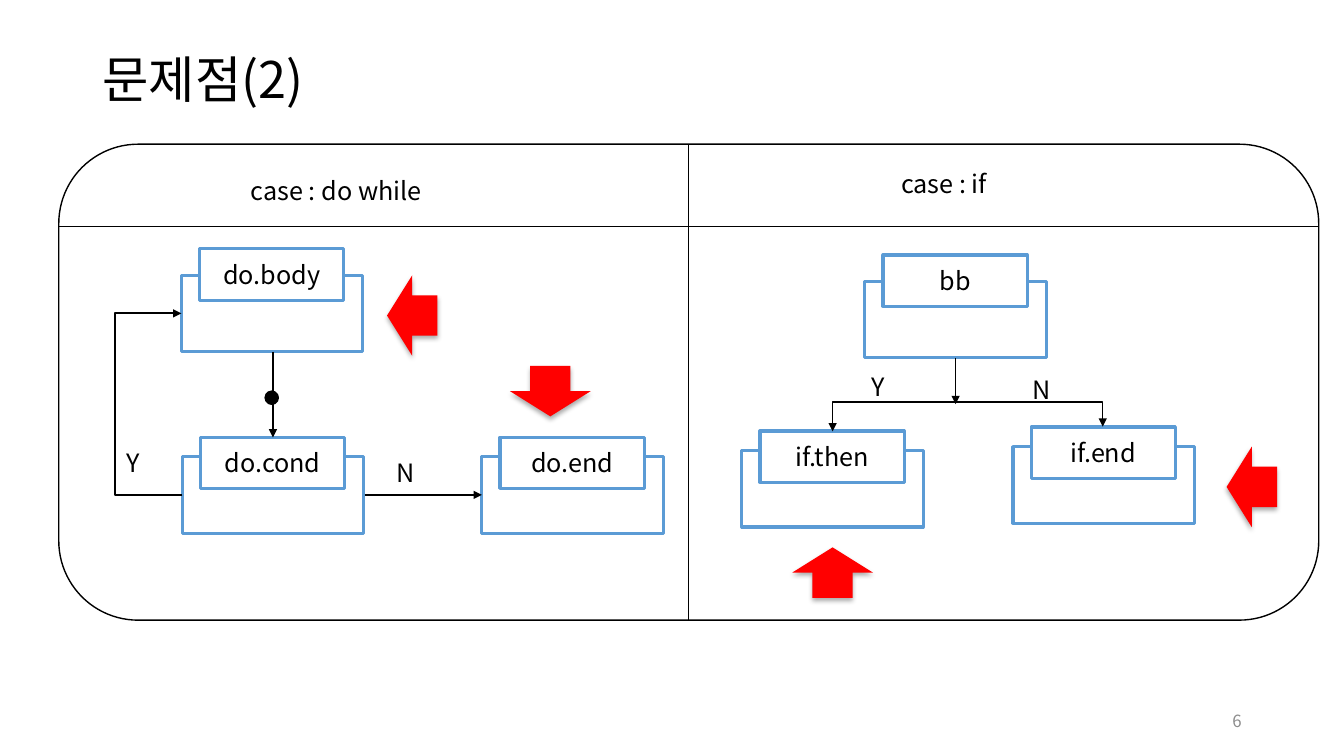
from lxml import etree
from pptx import Presentation
from pptx.dml.color import RGBColor
from pptx.enum import shapes, text
from pptx.oxml import parse_xml
from pptx.oxml.ns import nsdecls, qn
from pptx.util import Pt

FONT = "Noto Sans CJK KR"
COLORS = {"ink": "000000", "paper": "FFFFFF", "block": "5B9BD5",
          "marker": "FF0000", "number": "8C8C8C"}
SHAPE = shapes.MSO_SHAPE
LINE = shapes.MSO_CONNECTOR
ALIGN = text.PP_ALIGN
ANCHOR = text.MSO_ANCHOR

BLOCK_W, BLOCK_H = 129.6, 54.7
LABEL_W, LABEL_H, LABEL_INDENT = 103, 36.7, 13
MARKER_W, MARKER_H = 36, 57.6
FRAME_X, FRAME_Y, FRAME_W, FRAME_H = 42, 103, 900, 340
HEADER_Y = 162


def rgb(color):
    return RGBColor.from_string(COLORS[color])


def write(frame, words, size=18, color="ink", align=ALIGN.LEFT,
          anchor=ANCHOR.TOP, spacing=None):
    frame.word_wrap = True
    frame.vertical_anchor = anchor
    paragraph = frame.paragraphs[0]
    paragraph.alignment = align
    paragraph.line_spacing = spacing
    run = paragraph.add_run()
    run.text = words
    run.font.size = Pt(size)
    run.font.name = FONT
    run.font.color.rgb = rgb(color)
    east_asian = etree.SubElement(run.font._element, qn("a:ea"))
    east_asian.set("typeface", FONT)


def add_text(slide, words, x, y, w, h=29, **style):
    box = slide.shapes.add_textbox(Pt(x), Pt(y), Pt(w), Pt(h))
    write(box.text_frame, words, **style)


def add_figure(slide, kind, x, y, w, h, fill=None, line=None, weight=1):
    figure = slide.shapes.add_shape(kind, Pt(x), Pt(y), Pt(w), Pt(h))
    figure.shadow.inherit = False
    if fill:
        figure.fill.solid()
        figure.fill.fore_color.rgb = rgb(fill)
    else:
        figure.fill.background()
    if line:
        figure.line.color.rgb = rgb(line)
        figure.line.width = Pt(weight)
    else:
        figure.line.fill.background()
    return figure


def add_block(slide, name, x, y, rise=14):
    """Basic block whose name tag stands out above its top edge by rise."""
    outline = {"line": "block", "weight": 2.25}
    add_figure(slide, SHAPE.RECTANGLE, x, y, BLOCK_W, BLOCK_H, **outline)
    tag = add_figure(slide, SHAPE.RECTANGLE, x + LABEL_INDENT, y - rise,
                     LABEL_W, LABEL_H, fill="paper", **outline)
    write(tag.text_frame, name, align=ALIGN.CENTER, anchor=ANCHOR.MIDDLE)


def add_marker(slide, x, y, rotation=0):
    """Red arrow that points at a problem block."""
    marker = add_figure(slide, SHAPE.LEFT_ARROW, x, y, MARKER_W, MARKER_H,
                        fill="marker")
    marker.rotation = rotation
    effects = marker._element.spPr.find(qn("a:effectLst"))
    effects.append(parse_xml(
        f'<a:outerShdw {nsdecls("a")} blurRad="{Pt(3.5)}" dist="{Pt(2.2)}" '
        f'dir="5400000" rotWithShape="0"><a:srgbClr val="{COLORS["ink"]}">'
        '<a:alpha val="32000"/></a:srgbClr></a:outerShdw>'))


def add_line(slide, x1, y1, x2, y2, weight=1, kind=LINE.STRAIGHT, arrows=()):
    """Line with a triangle at each end named in arrows (headEnd, tailEnd)."""
    line = slide.shapes.add_connector(kind, Pt(x1), Pt(y1), Pt(x2), Pt(y2))
    line.line.color.rgb = rgb("ink")
    line.line.width = Pt(weight)
    for end in arrows:
        etree.SubElement(line.line._ln, qn(f"a:{end}")).set("type", "triangle")
    etree.SubElement(line._element.spPr, qn("a:effectLst"))
    return line


def add_bent_line(slide, x1, y1, x2, y2, bend, upright=False, **style):
    """Elbow line that leaves its start by bend, leftwards or upwards."""
    reach = x1 - x2
    if upright:
        center_x, center_y = (x1 + x2) / 2, (y1 + y2) / 2
        reach, span = y1 - y2, x2 - x1
        x1, x2 = center_x + reach / 2, center_x - reach / 2
        y1, y2 = center_y + span / 2, center_y - span / 2
    line = add_line(slide, x1, y1, x2, y2, kind=LINE.ELBOW, **style)
    if upright:
        line._element.spPr.find(qn("a:xfrm")).set("rot", "5400000")
    guides = line._element.spPr.find(qn("a:prstGeom")).get_or_add_avLst()
    guide = etree.SubElement(guides, qn("a:gd"))
    guide.set("name", "adj1")
    guide.set("fmla", f"val {round(bend / reach * 100000)}")


def add_frame(slide):
    add_figure(slide, SHAPE.ROUNDED_RECTANGLE, FRAME_X, FRAME_Y, FRAME_W,
               FRAME_H, fill="paper", line="ink")
    middle = FRAME_X + FRAME_W / 2
    add_line(slide, middle, FRAME_Y, middle, FRAME_Y + FRAME_H)
    add_line(slide, FRAME_X, HEADER_Y, FRAME_X + FRAME_W, HEADER_Y)
    add_text(slide, "case : do while", 172, 121.7, 148)
    add_text(slide, "case : if", 636.5, 116.6, 148)


def add_do_while(slide):
    add_block(slide, "do.cond", 130.3, 326.2)
    add_block(slide, "do.end", 344.2, 326.2)
    add_block(slide, "do.body", 129.6, 196.6, rise=18.8)
    arrow = {"weight": 1.5, "arrows": ["tailEnd"]}
    add_bent_line(slide, 130.3, 353.5, 129.6, 223.9, bend=47.5, **arrow)
    add_line(slide, 195, 251.3, 195, 312.5, **arrow)
    add_line(slide, 260.5, 353.5, 344.2, 353.5, **arrow)
    add_figure(slide, SHAPE.OVAL, 189.4, 279.4, 9.4, 9.4, fill="ink", line="ink")
    add_text(slide, "Y", 83.5, 316, 33)
    add_text(slide, "N", 276.5, 323, 33)
    add_marker(slide, 276.5, 196.6)
    add_marker(slide, 375.1, 250.6, rotation=270)


def add_if(slide):
    add_block(slide, "if.then", 529.9, 321.8)
    add_block(slide, "if.end", 723.6, 319)
    add_block(slide, "bb", 617.8, 200.9, rise=18.8)
    add_text(slide, "Y", 615.6, 262, 33)
    add_text(slide, "N", 730.8, 263.5, 33)
    add_marker(slide, 576.7, 380.2, rotation=90)
    add_marker(slide, 876.2, 319)
    add_bent_line(slide, 594.7, 308.2, 787.7, 304.8, bend=21, upright=True,
                  arrows=["headEnd", "tailEnd"])
    add_line(slide, 682.6, 255.6, 682.6, 288.7, arrows=["tailEnd"])


def main():
    deck = Presentation()
    deck.slide_width, deck.slide_height = Pt(960), Pt(540)
    slide = deck.slides.add_slide(deck.slide_layouts[6])
    add_text(slide, "문제점(2)", 66, 28.8, 828, 60.5, size=36,
             anchor=ANCHOR.MIDDLE, spacing=0.9)
    add_text(slide, "6", 678, 500.5, 216, 28.8, size=12, color="number",
             align=ALIGN.RIGHT, anchor=ANCHOR.MIDDLE)
    add_frame(slide)
    add_do_while(slide)
    add_if(slide)
    deck.save("out.pptx")


if __name__ == "__main__":
    main()
